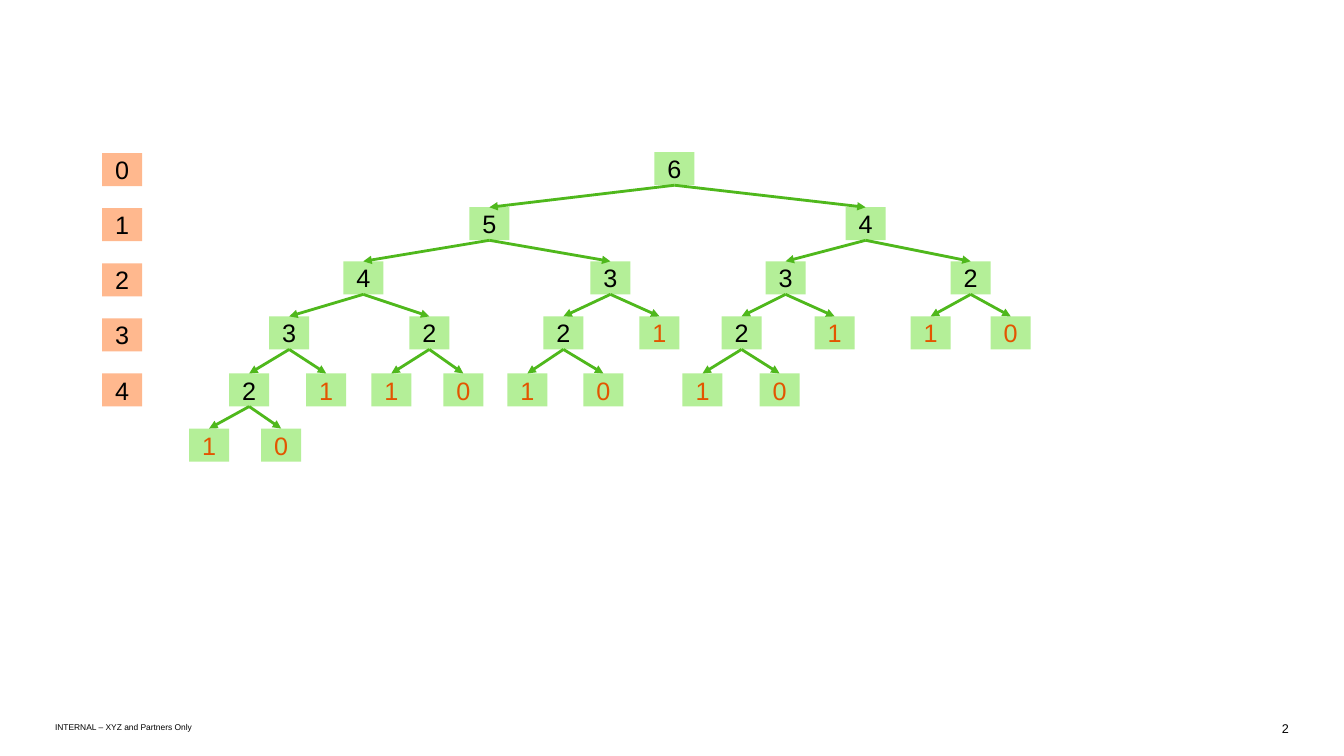
"""Draw the call tree of a Fibonacci function with its depth labels."""
import dataclasses

import lxml.etree
import pptx
import pptx.dml.color
import pptx.enum.shapes
import pptx.enum.text
import pptx.oxml.ns
import pptx.util

SCALE = 914400 / 100.7
ALIGN = pptx.enum.text.PP_ALIGN
ANCHOR = pptx.enum.text.MSO_ANCHOR


@dataclasses.dataclass(frozen=True)
class Theme:
    font: str = "Arial"
    ink: str = "000000"
    base: str = "E35500"
    call: str = "B4EF98"
    depth: str = "FFB88E"
    arrow: str = "4FB81C"
    label: int = 18
    page: int = 9
    note: int = 6
    stroke: int = 2


@dataclasses.dataclass(frozen=True)
class Node:
    num: int
    left: int
    kids: tuple["Node", ...] = ()


THEME = Theme()
WIDE, HIGH = 40, 33
TOPS = (152, 207, 261, 316, 373, 428)
TREE = Node(6, 654, (
    Node(5, 469, (
        Node(4, 343, (
            Node(3, 269, (
                Node(2, 229, (Node(1, 189), Node(0, 261))),
                Node(1, 306))),
            Node(2, 409, (Node(1, 371), Node(0, 443))))),
        Node(3, 590, (
            Node(2, 543, (Node(1, 507), Node(0, 583))),
            Node(1, 639))))),
    Node(4, 845, (
        Node(3, 765, (
            Node(2, 721, (Node(1, 682), Node(0, 759))),
            Node(1, 814))),
        Node(2, 950, (Node(1, 910), Node(0, 990)))))))


def px(size: int) -> int:
    return round(size * SCALE)


def tint(code: str) -> pptx.dml.color.RGBColor:
    return pptx.dml.color.RGBColor.from_string(code)


def write(shape, text: str, *, size: int, ink: str = THEME.ink,
          align=ALIGN.CENTER, anchor=ANCHOR.MIDDLE,
          inset: tuple[int, int] = (0, 0), wrap: bool = True) -> None:
    frame = shape.text_frame
    frame.word_wrap = wrap
    frame.vertical_anchor = anchor
    frame.margin_left = frame.margin_right = px(inset[0])
    frame.margin_top = frame.margin_bottom = px(inset[1])
    para = frame.paragraphs[0]
    para.alignment = align
    run = para.add_run()
    run.text = text
    run.font.name = THEME.font
    run.font.size = pptx.util.Pt(size)
    run.font.color.rgb = tint(ink)


def add_box(slide, num: int, left: int, top: int, fill: str, ink: str):
    box = slide.shapes.add_shape(
        pptx.enum.shapes.MSO_SHAPE.RECTANGLE,
        px(left), px(top), px(WIDE), px(HIGH))
    box.shadow.inherit = False
    box.fill.solid()
    box.fill.fore_color.rgb = tint(fill)
    box.line.fill.background()
    write(box, str(num), size=THEME.label, ink=ink, inset=(10, 8))
    return box


def add_arrow(slide, start, end) -> None:
    arrow = slide.shapes.add_connector(
        pptx.enum.shapes.MSO_CONNECTOR.STRAIGHT, 0, 0, 0, 0)
    arrow.begin_connect(start, 2)
    arrow.end_connect(end, 0)
    arrow.line.color.rgb = tint(THEME.arrow)
    arrow.line.width = pptx.util.Pt(THEME.stroke)
    name = pptx.oxml.ns.qn
    line = arrow.line._get_or_add_ln()
    lxml.etree.SubElement(line, name("a:tailEnd"), type="triangle")
    lxml.etree.SubElement(line.getparent(), name("a:effectLst"))


def add_tree(slide, node: Node, level: int = 0):
    ink = THEME.ink if node.kids else THEME.base
    box = add_box(slide, node.num, node.left, TOPS[level], THEME.call, ink)
    for kid in node.kids:
        add_arrow(slide, box, add_tree(slide, kid, level + 1))
    return box


def add_note(slide, text: str, left: int, top: int, wide: int, **style) -> None:
    note = slide.shapes.add_textbox(px(left), px(top), px(wide), px(15))
    write(note, text, **style)


def main() -> None:
    deck = pptx.Presentation()
    deck.slide_width, deck.slide_height = px(1343), px(755)
    slide = deck.slides.add_slide(deck.slide_layouts[6])
    add_note(slide, "2", 1272, 720, 16, size=THEME.page,
             align=ALIGN.RIGHT, anchor=ANCHOR.TOP, wrap=False)
    add_note(slide, "INTERNAL – XYZ and Partners Only", 55, 719, 1119,
             size=THEME.note, align=ALIGN.LEFT)
    for depth in range(5):
        add_box(slide, depth, 102, 153 + 55 * depth, THEME.depth, THEME.ink)
    add_tree(slide, TREE)
    deck.save("out.pptx")


main()
